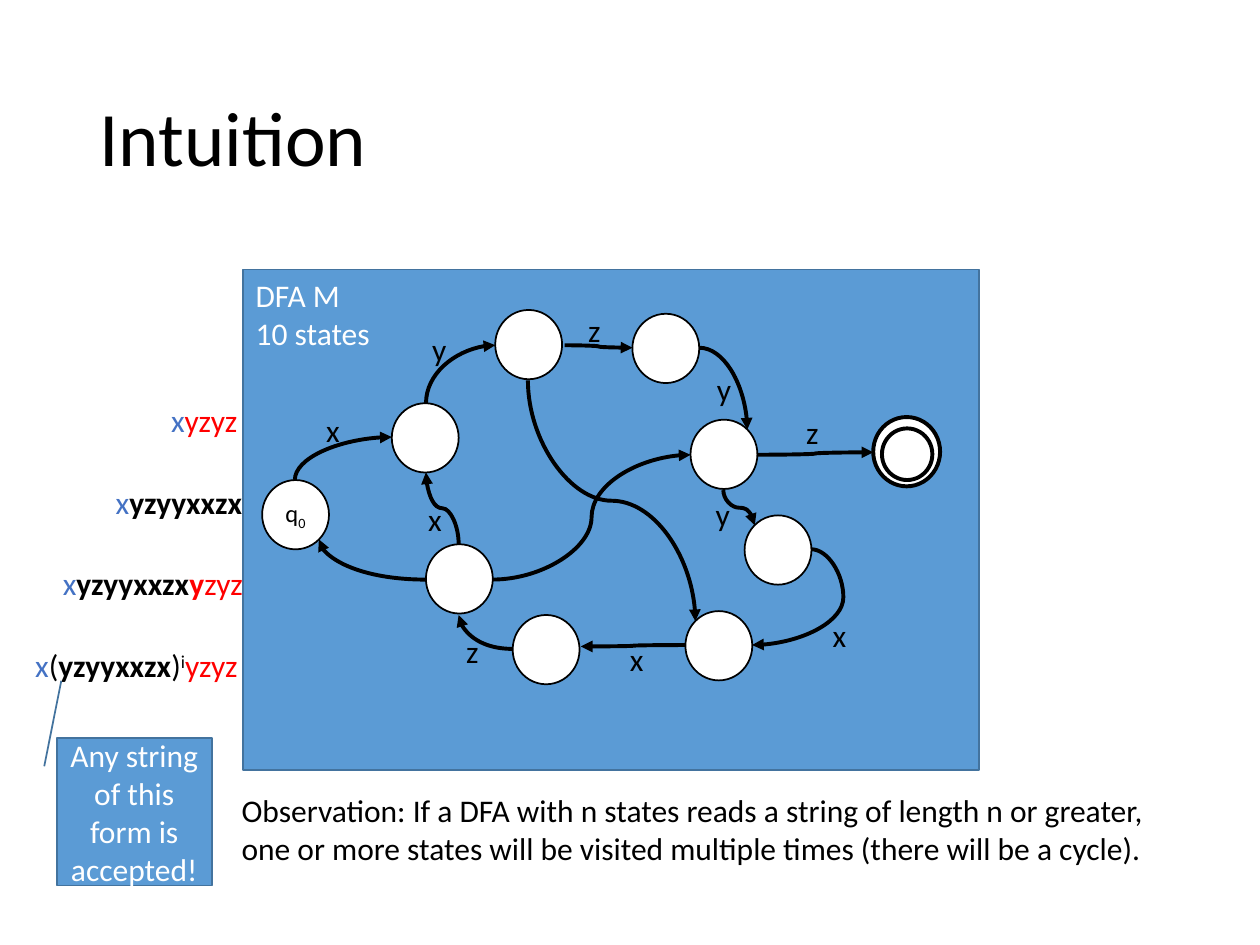
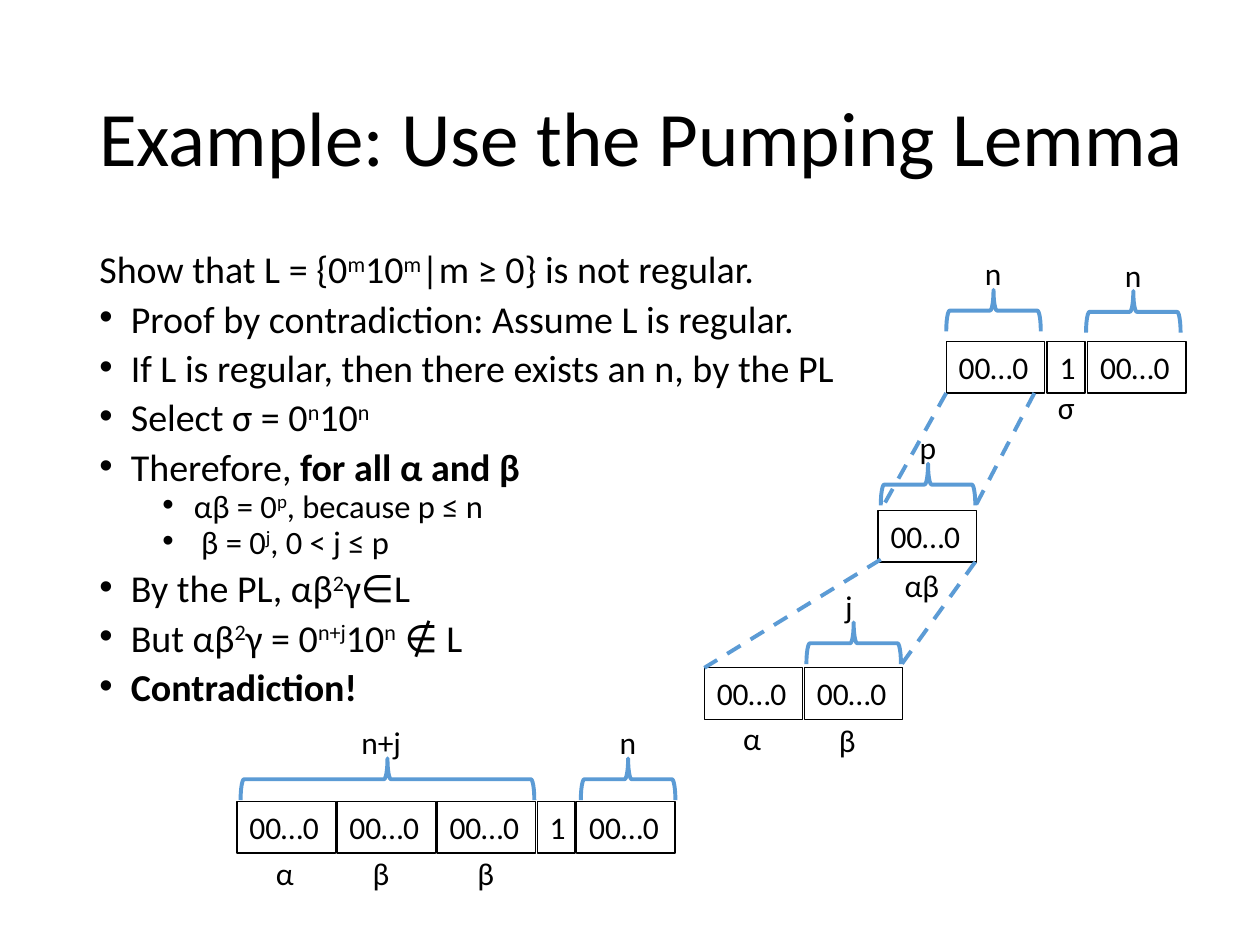
"""Build two slides on the pumping lemma: a state graph and a worked proof."""
from dataclasses import dataclass
from math import cos, radians, sin
from typing import NamedTuple

from lxml.etree import SubElement as Sub
from pptx import Presentation as Deck
from pptx.dml.color import RGBColor as Rgb
from pptx.enum.dml import MSO_LINE as Dash
from pptx.enum.shapes import MSO_CONNECTOR as Link, MSO_SHAPE as Form
from pptx.enum.text import MSO_ANCHOR as Anchor, MSO_AUTO_SIZE as Fit, PP_ALIGN as Align
from pptx.oxml.ns import qn
from pptx.util import Pt

INK = {"ink": "000000", "white": "FFFFFF", "panel": "5B9BD5", "edge": "43739E",
       "blue": "4472C4", "red": "FF0000"}
FONT = "Calibri"
STATE = (38.2, 39.6)
CELL = {"00…0": 56.2, "1": 21.6}
HIGH = 29.5


class Bit(NamedTuple):
    text: str
    color: str = "ink"
    bold: bool = False


class Mark(NamedTuple):
    x: float
    y: float
    bits: list


@dataclass
class Move:
    start: tuple
    end: tuple
    turn: int = 0
    kind: int = 3
    bend: float = 0.5


@dataclass
class Item:
    bits: list
    level: int = 0
    dot: bool = True


@dataclass
class Row:
    left: float
    top: float
    words: tuple
    gap: float = 1


@dataclass
class Brace:
    mid: float
    top: float
    text: str
    span: float = 54
    shift: float = 11.9


def tint(name: str) -> Rgb:
    """Look up a colour by name."""
    return Rgb.from_string(INK[name])


def put(para, text: str, size: float = 18, color: str = "ink",
        bold: bool = False, base: int = 30) -> None:
    """Add runs to a paragraph; a caret switches the raised text on and off."""
    for n, part in enumerate(text.split("^")):
        if part:
            run = para.add_run()
            run.text = part
            font = run.font
            font.name, font.size, font.bold = FONT, Pt(size), bold
            font.color.rgb = tint(color)
            if n % 2:
                run._r.get_or_add_rPr().set("baseline", str(base * 1000))


def area(slide, x: float, y: float, wide: float, high: float, wrap: bool = True):
    """Add a text box and return its frame."""
    frame = slide.shapes.add_textbox(Pt(x), Pt(y), Pt(wide), Pt(high)).text_frame
    frame.word_wrap = wrap
    return frame


def label(slide, x: float, y: float, bits: list, wide: float = 23, wrap: bool = False) -> None:
    """Draw a text label of one paragraph."""
    frame = area(slide, x, y, wide, 29, wrap)
    frame.auto_size = Fit.SHAPE_TO_FIT_TEXT
    for bit in bits:
        put(frame.paragraphs[0], bit.text, color=bit.color, bold=bit.bold)


def title(slide, text: str) -> None:
    """Draw the slide title."""
    frame = area(slide, 49.7, 28.8, 637, 104.4)
    frame.vertical_anchor = Anchor.MIDDLE
    para = frame.paragraphs[0]
    para.line_spacing = 0.9
    put(para, text, size=44)


def shape(slide, form, x: float, y: float, wide: float, high: float,
          fill: str = "", line: str = "ink", width: float = 1):
    """Draw a preset shape with a plain outline."""
    item = slide.shapes.add_shape(form, Pt(x), Pt(y), Pt(wide), Pt(high))
    item.shadow.inherit = False
    if fill:
        item.fill.solid()
        item.fill.fore_color.rgb = tint(fill)
    else:
        item.fill.background()
    item.line.color.rgb = tint(line)
    item.line.width = Pt(width)
    return item


def fill(item, lines: list, align=Align.LEFT, anchor=Anchor.TOP, **form) -> None:
    """Write lines of text into a shape."""
    frame = item.text_frame
    frame.vertical_anchor = anchor
    for n, text in enumerate(lines):
        para = frame.add_paragraph() if n else frame.paragraphs[0]
        para.alignment = align
        put(para, text, **form)


def wire(slide, kind, start: tuple, end: tuple, color: str):
    """Draw a connector without a shadow."""
    line = slide.shapes.add_connector(kind, *map(Pt, (*start, *end)))
    line.line.color.rgb = tint(color)
    line.line.width = Pt(2.25)
    Sub(line.element.spPr, qn("a:effectLst"))
    return line


def arrow(slide, move: Move) -> None:
    """Draw a curved arrow, turned and flipped to join its two ends."""
    (x, y), (u, v) = move.start, move.end
    c, s = cos(radians(move.turn)), sin(radians(move.turn))
    along = (u - x) * c + (v - y) * s
    cross = (v - y) * c - (u - x) * s
    wide, high = abs(along), abs(cross)
    left, top = (x + u - wide) / 2, (y + v - high) / 2
    line = wire(slide, Link.CURVE, (left, top), (left + wide, top + high), "ink")
    prop = line.element.spPr
    frame = prop.find(qn("a:xfrm"))
    frame.set("rot", str(move.turn * 60000))
    for key, size in (("flipH", along), ("flipV", cross)):
        if size < 0:
            frame.set(key, "1")
    geom = prop.find(qn("a:prstGeom"))
    geom.set("prst", f"curvedConnector{move.kind}")
    if move.kind == 3:
        Sub(geom.find(qn("a:avLst")), qn("a:gd"), name="adj1",
            fmla=f"val {round(move.bend * 100000)}")
    Sub(prop.find(qn("a:ln")), qn("a:tailEnd"), type="triangle")


def dash(slide, start: tuple, end: tuple) -> None:
    """Draw a dashed zoom line."""
    wire(slide, Link.STRAIGHT, start, end, "panel").line.dash_style = Dash.DASH


def strip(slide, row: Row) -> None:
    """Draw a row of tape cells."""
    x = row.left
    for word in row.words:
        cell = shape(slide, Form.RECTANGLE, x, row.top, CELL[word], HIGH, width=0.75)
        fill(cell, [word])
        x += CELL[word] + row.gap


def brace(slide, item: Brace) -> None:
    """Draw a lying brace with its label on top."""
    thick = 23.8
    sign = shape(slide, Form.LEFT_BRACE, item.mid - thick / 2,
                 item.top + (thick - item.span) / 2, thick, item.span,
                 line="panel", width=2.25)
    sign.rotation = 90
    label(slide, item.mid - item.shift, item.top - 23.8, [Bit(item.text)], 2 * item.shift)


def proof(slide, items: list) -> None:
    """Write the steps of the proof."""
    frame = area(slide, 49.7, 144, 452, 342.7)
    for n, item in enumerate(items):
        para = frame.add_paragraph() if n else frame.paragraphs[0]
        para.line_spacing = 0.7
        para.space_before = Pt(5 if item.level else 10)
        para.level = item.level
        if item.dot:
            prop = para._p.get_or_add_pPr()
            prop.set("marL", str(Pt(18 + 36 * item.level)))
            prop.set("indent", str(Pt(-18)))
            Sub(prop, qn("a:buFont"), typeface="Arial")
            Sub(prop, qn("a:buChar"), char="•")
        for bit in item.bits:
            put(para, bit.text, size=18.6 if item.level else 21.7, bold=bit.bold)


STATES = [(223.9, 230.4), (391.7, 349.2), (425.5, 294.5), (394.6, 239.8), (361.4, 179.3),
          (283, 177.1), (293, 351.4), (243.4, 311)]
MOVES = [
    Move((168.5, 274.3), (223.9, 249.8), 90, 2),
    Move((322.6, 197.3), (361.4, 198.7)),
    Move((243.4, 230.4), (283, 197.3), 90, 2),
    Move((413.3, 280.1), (431.3, 300.2), 270),
    Move((432.7, 259.9), (499, 258.5)),
    Move((399.6, 198.7), (427, 245.5), 0, 2),
    Move((391.7, 368.6), (331.9, 369.4), 180),
    Move((293, 370.8), (262.1, 351.4), 180, 2),
    Move((262.1, 311), (243.4, 270), 270),
    Move((463.7, 313.9), (429.8, 368.6), bend=-0.54),
    Move((281.5, 331.2), (394.6, 259.9)),
    Move((301.7, 217.4), (397.4, 355), 270),
    Move((243.4, 331.2), (182.2, 308.2), 180, 2),
]
READS = [("y", 239.8, 185), ("z", 329, 174.2), ("y", 402.5, 208.1), ("z", 453.6, 232.6),
         ("x", 237.6, 282.2), ("z", 259.2, 357.8), ("y", 401.8, 279.4), ("x", 352.8, 362.2),
         ("x", 468.7, 348.5), ("x", 179.3, 231.1)]
HEAD = Bit("x", "blue")
LOOP = Bit("yzyyxxzx", bold=True)
TAIL = Bit("yzyz", "red")
WORDS = [
    (Mark(90.7, 225.4, [HEAD, TAIL]), 52.6),
    (Mark(59, 272.2, [HEAD, LOOP]), 87.1),
    (Mark(28.8, 319, [HEAD, LOOP, Bit("y", "red", True), Bit("zyz", "red")]), 118.1),
    (Mark(13, 365.8, [HEAD, Bit("("), LOOP, Bit(")^i^"), TAIL]), 131.8),
]
STEPS = [
    Item([Bit("Show that L = {0^m^10^m^|m ≥ 0} is not regular.")], dot=False),
    Item([Bit("Proof by contradiction: Assume L is regular.")]),
    Item([Bit("If L is regular, then there exists an n, by the PL")]),
    Item([Bit("Select σ = 0^n^10^n")]),
    Item([Bit("Therefore, "), Bit("for all α and β", bold=True)]),
    Item([Bit("αβ = 0^p^, because p ≤ n")], 1),
    Item([Bit(" β = 0^j^, 0 < j ≤ p")], 1),
    Item([Bit("By the PL, αβ^2^γ∈L")]),
    Item([Bit("But αβ^2^γ = 0^n+j^10^n^ ∉ L")]),
    Item([Bit("Contradiction!", bold=True)]),
]
ROWS = [
    Row(501.8, 291.6, ("00…0",)),
    Row(402.5, 381.6, ("00…0",) * 2),
    Row(540.7, 195.1, ("00…0", "1", "00…0"), 1.5),
    Row(135.4, 457.9, ("00…0",) * 3 + ("1", "00…0")),
]
BRACES = [
    Brace(530.3, 265, "p"), Brace(487.8, 355.7, "j"), Brace(567.7, 165.6, "n"),
    Brace(647.6, 166.3, "n"), Brace(221.4, 433.4, "n+j", 167.8, 22),
    Brace(358.9, 433.4, "n"),
]
NAMES = [("αβ", 509.8, 319.7), ("α", 417.6, 407.5), ("β", 472.3, 408.2), ("σ", 597.4, 218.2),
         ("α", 150.5, 484.6), ("β", 205.9, 484.6), ("β", 265.7, 484.6)]
ZOOMS = [((591.1, 224.6), (557.3, 289.4)), ((540.7, 224.6), (503.3, 291.6)),
         ((503.3, 319.7), (402.5, 381.6)), ((557.3, 321.1), (514.8, 380.2))]


def graph(slide) -> None:
    """Draw the slide with the state graph."""
    title(slide, "Intuition")
    panel = shape(slide, Form.RECTANGLE, 139, 154.1, 420.5, 285.8, "panel", "edge")
    fill(panel, ["DFA M", "10 states"], color="white")
    first = shape(slide, Form.OVAL, 149.8, 274.3, *STATE, "white")
    fill(first, ["q^0"], Align.CENTER, Anchor.MIDDLE, size=14, base=-25)
    for x, y in STATES:
        shape(slide, Form.OVAL, x, y, *STATE, "white")
    for x, y, wide, high in ((499, 238.3, *STATE), (504, 244.8, 28.8, 29.5)):
        shape(slide, Form.OVAL, x, y, wide, high, "white", width=2.25)
    for move in MOVES:
        arrow(slide, move)
    for text, x, y in READS:
        label(slide, x, y, [Bit(text)])
    for mark, wide in WORDS:
        label(slide, *mark, wide)
    label(slide, 131, 448.6, [Bit(
        "Observation: If a DFA with n states reads a string of length n or greater, "
        "one or more states will be visited multiple times (there will be a cycle).")],
        539.3, True)
    note = shape(slide, Form.LINE_CALLOUT_1, 32.4, 421.9, 88.6, 84.2, "panel", "edge")
    for n, value in enumerate((0.19, -0.08, -0.39, 0.03)):
        note.adjustments[n] = value
    fill(note, ["Any string of this form is accepted!"], Align.CENTER, Anchor.MIDDLE,
         color="white")


def lemma(slide) -> None:
    """Draw the slide with the worked proof."""
    title(slide, "Example: Use the Pumping Lemma")
    proof(slide, STEPS)
    for row in ROWS:
        strip(slide, row)
    for item in BRACES:
        brace(slide, item)
    for text, x, y in NAMES:
        label(slide, x, y, [Bit(text)], 12 + 11.5 * len(text))
    for start, end in ZOOMS:
        dash(slide, start, end)


deck = Deck()
deck.slide_width, deck.slide_height = Pt(720), Pt(540)
for draw in (graph, lemma):
    draw(deck.slides.add_slide(deck.slide_layouts[6]))
deck.save("out.pptx")
